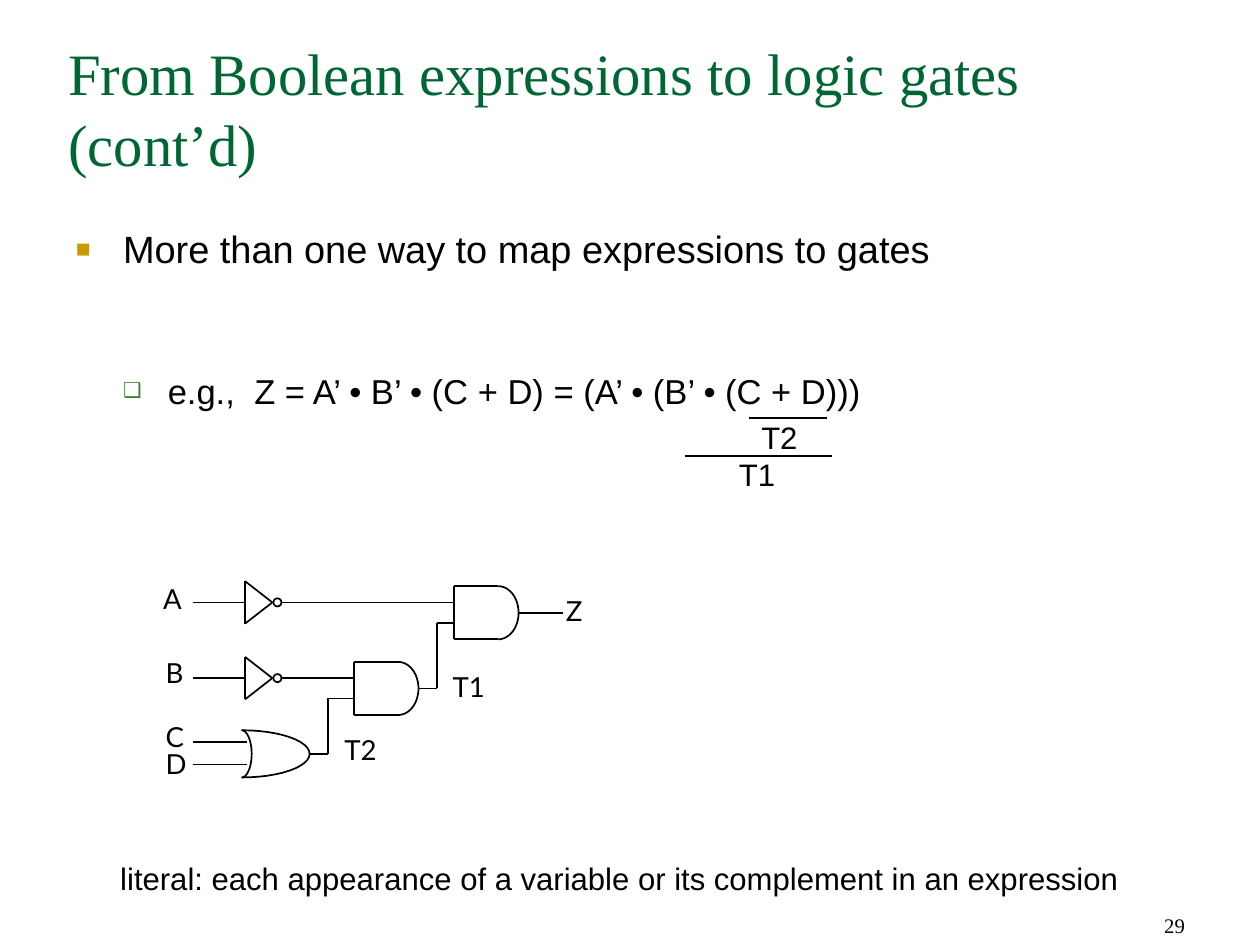
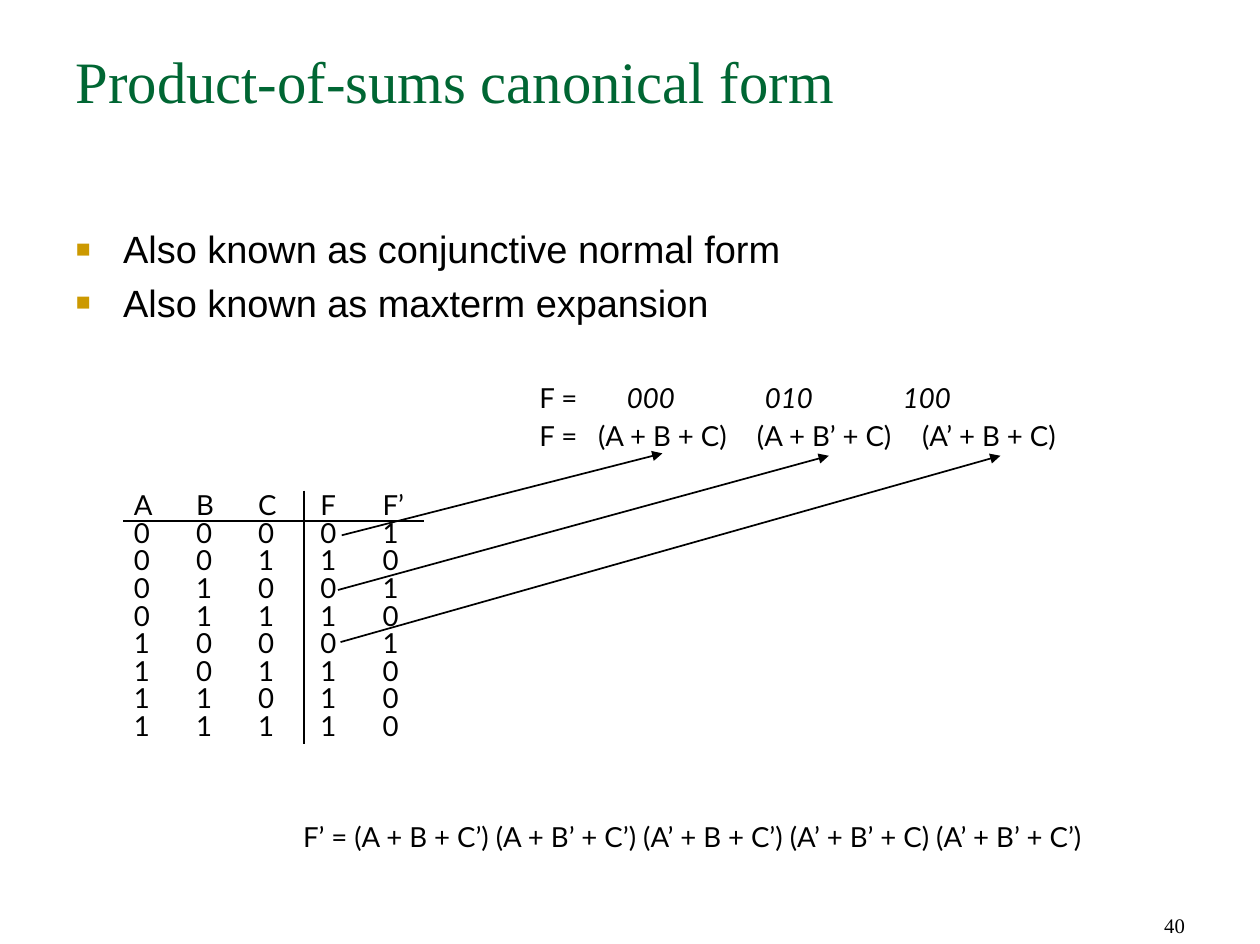
from math import cos, pi, sin

from lxml import etree
from pptx import Presentation
from pptx.dml.color import RGBColor
from pptx.enum.shapes import MSO_CONNECTOR, MSO_SHAPE
from pptx.enum.text import MSO_ANCHOR, MSO_AUTO_SIZE, PP_ALIGN
from pptx.oxml.ns import qn
from pptx.util import Pt

# Shared look
COLORS = {"title": "006633", "text": "000000", "bullet1": "CC9900", "bullet2": "3B812F"}
SERIF, SANS, LABEL = "Times New Roman", "Arial", "Lato"
LEVELS = [  # size, left margin, hanging indent, bullet, bullet colour, bullet percent
    (22, 27.4, 27.4, "■", "bullet1", 65),
    (20, 53.3, 25.9, "❑", "bullet2", 60),
]
BODY_BOX = (36.7, 127.4, 656.6, 361.4)
NUMBER_BOX = (523, 510.5, 170.6, 36.7)
NO_GRID_STYLE = "{2D5ABB26-0587-4C30-8999-92F81FD0307C}"

# Content: body items are (level, space before, pieces of text)
GATES = {
    "title": "From Boolean expressions to logic gates (cont’d)",
    "title_box": (32.4, 18, 669.6, 67),
    "number": "29",
    "body": [
        (0, 0, ["More than one way to map expressions to gates"]),
        (1, 57, ["e.g.,", " ", "Z = A’ • B’ • (C + D) = (A’ • (B’ • (C + D)))"]),
    ],
}
CANONICAL = {
    "title": "Product-of-sums canonical form",
    "title_box": (36.7, 22.3, 656.6, 90.7),
    "number": "40",
    "body": [
        (0, 0, ["Also known as conjunctive normal form"]),
        (0, 4.4, ["Also known as maxterm expansion"]),
    ],
}
LITERAL_NOTE = "literal: each appearance of a variable or its complement in an expression"

# Terms underlined below the expression: text, left, top
TERMS = [("T1", 426.7, 262.4), ("T2", 439.7, 240.7)]
TERM_RULES = [(434.2, 242.4, 479, 242.4), (396.7, 264.4, 481.9, 264.4)]

# Circuit
Y_A, Y_B, Y_C, Y_D = 349.2, 393.1, 430, 443.1
Y_T2, Y_T1, Y_Z = 437, 399.1, 355.2
X_INPUT, X_LEAD, X_NOT, X_BUBBLE, X_OR = 111.6, 132.2, 142, 158.4, 140
X_AND1, X_AND2 = 205, 263
BUBBLE, NOT_HALF = 4.7, 12.3
AND_WIDTH, AND_STRAIGHT, AND_HALF = 37.5, 25.7, 15.4
OR_WIDTH, OR_HALF, OR_BACK = 39.4, 13.7, 5.8
NOT_LEAD, T2_TURN, T2_LEAD, T1_TURN, Z_LEAD = 174, 190, 195, 253, 311
T2_IN, T1_IN = 404.9, 361
CIRCUIT_LABELS = [
    ("A", 93.1, 337.2), ("B", 94.5, 380.4), ("C", 94.5, 417.1), ("D", 94.5, 432.9),
    ("T2", 198.2, 425), ("T1", 260.9, 388.3), ("Z", 326.4, 344.4),
]
WIRES = [  # each wire is a chain of points
    [(X_INPUT, Y_A), (X_LEAD, Y_A), (X_NOT, Y_A)],
    [(X_INPUT, Y_B), (X_LEAD, Y_B), (X_NOT, Y_B)],
    [(X_INPUT, Y_C), (X_LEAD, Y_C), (X_NOT, Y_C), (X_NOT + 1.3, Y_C)],
    [(X_INPUT, Y_D), (X_LEAD, Y_D), (X_NOT, Y_D), (X_NOT + 1.3, Y_D)],
    [(X_BUBBLE + BUBBLE, Y_A), (NOT_LEAD, Y_A), (T1_TURN, Y_A), (X_AND2, Y_A)],
    [(X_BUBBLE + BUBBLE, Y_B), (NOT_LEAD, Y_B), (T2_LEAD, Y_B), (X_AND1, Y_B)],
    [(X_OR + OR_WIDTH, Y_T2), (T2_TURN, Y_T2), (T2_TURN, T2_IN), (T2_LEAD, T2_IN),
     (X_AND1, T2_IN)],
    [(X_AND1 + AND_WIDTH, Y_T1), (T1_TURN, Y_T1), (T1_TURN, T1_IN), (X_AND2, T1_IN)],
    [(X_AND2 + AND_WIDTH, Y_Z), (Z_LEAD, Y_Z), (326.2, Y_Z)],
]

# Truth table and canonical form
TRUTH_HEADER = ["A", "B", "C", "F", "F’"]
F_VALUES = [0, 1, 0, 1, 0, 1, 1, 1]
TRUTH_ROWS = [TRUTH_HEADER] + [
    [n >> 2, n >> 1 & 1, n & 1, f, 1 - f] for n, f in enumerate(F_VALUES)
]
TABLE_LEFT, TABLE_TOP, COLUMN, ROW = 77.6, 286.2, 36, 16
TABLE_RULES = [(71.3, 302, 245.5, 302), (176, 284.4, 176, 431.3)]
CODES, CODE_LEFT, CODE_STEP = ["000", "010", "100"], 361.8, 80
FACTORS = [  # text, left, arrow
    ("(A + B + C)", 345.1, (198, 310.3, 383.8, 262.8)),
    ("(A + B’ + C)", 437.2, (195.8, 342, 480.2, 264.2)),
    ("(A’ + B + C)", 532.8, (197.3, 372.2, 579.6, 264.2)),
]
COMPLEMENT = "F’ = (A + B + C’) (A + B’ + C’) (A’ + B + C’) (A’ + B’ + C) (A’ + B’ + C’)"


def points(*lengths):
    return [Pt(length) for length in lengths]


def place(shape, box):
    shape.left, shape.top, shape.width, shape.height = points(*box)


def style_runs(paragraph, font, size, color="text", italic=False):
    for run in paragraph.runs:
        run.font.name, run.font.size, run.font.italic = font, Pt(size), italic
        run.font.color.rgb = RGBColor.from_string(COLORS[color])


def add_text(slide, text, box, font=LABEL, size=16, line=None, insets=(1.4, 2.2),
             italic=False, align=PP_ALIGN.LEFT, anchor=MSO_ANCHOR.TOP):
    frame = slide.shapes.add_textbox(*points(*box)).text_frame
    frame.word_wrap, frame.vertical_anchor = True, anchor
    frame.margin_left = frame.margin_right = Pt(insets[0])
    frame.margin_top = frame.margin_bottom = Pt(insets[1])
    frame.text = text
    for paragraph in frame.paragraphs:
        paragraph.alignment = align
        if line:
            paragraph.line_spacing = Pt(line)
        style_runs(paragraph, font, size, italic=italic)


def add_line(slide, ends, arrow=False):
    line = slide.shapes.add_connector(MSO_CONNECTOR.STRAIGHT, *points(*ends))
    line.line.color.rgb = RGBColor.from_string(COLORS["text"])
    line.line.width = Pt(1)
    if arrow:
        etree.SubElement(line.line._get_or_add_ln(), qn("a:tailEnd"), type="triangle")
    etree.SubElement(line._element.spPr, qn("a:effectLst"))


def add_chain(slide, corners):
    for start, end in zip(corners, corners[1:]):
        add_line(slide, start + end)


def outline(shape):
    shape.shadow.inherit = False
    shape.fill.background()
    shape.line.color.rgb = RGBColor.from_string(COLORS["text"])
    shape.line.width = Pt(1)


def add_half_ellipse(slide, x, y, radius_x, radius_y, steps=12):
    """Draw the right half of an ellipse as two quarter arcs."""
    for first in (-90, 0):
        angles = [(first + 90 * i / steps) * pi / 180 for i in range(steps + 1)]
        start, *rest = [points(x + radius_x * cos(a), y + radius_y * sin(a)) for a in angles]
        builder = slide.shapes.build_freeform(*start)
        builder.add_line_segments(rest, close=False)
        outline(builder.convert_to_shape())


def add_not(slide, y):
    top, tip, bottom = (X_NOT, y - NOT_HALF), (X_BUBBLE - 0.6, y), (X_NOT, y + NOT_HALF)
    add_chain(slide, [top, tip, bottom, top])
    outline(slide.shapes.add_shape(
        MSO_SHAPE.OVAL, *points(X_BUBBLE, y - BUBBLE / 2, BUBBLE, BUBBLE)))


def add_and(slide, x, y):
    middle, top, bottom = x + AND_STRAIGHT, y - AND_HALF, y + AND_HALF
    add_chain(slide, [(middle, top), (x, top), (x, bottom), (middle, bottom)])
    add_half_ellipse(slide, middle, y, AND_WIDTH - AND_STRAIGHT, AND_HALF)


def add_or(slide, x, y):
    for reach in (OR_BACK, OR_WIDTH):
        add_half_ellipse(slide, x, y, reach, OR_HALF)


def add_bullet(paragraph, level):
    size, margin, hang, mark, color, percent = LEVELS[level]
    properties = paragraph._p.get_or_add_pPr()
    properties.set("marL", str(Pt(margin)))
    properties.set("indent", str(-Pt(hang)))
    bullet_color = etree.SubElement(properties, qn("a:buClr"))
    etree.SubElement(bullet_color, qn("a:srgbClr"), val=COLORS[color])
    etree.SubElement(properties, qn("a:buSzPct"), val=str(percent * 1000))
    etree.SubElement(properties, qn("a:buFont"), typeface=SANS)
    etree.SubElement(properties, qn("a:buChar"), char=mark)


def fill_body(frame, items):
    for index, (level, before, pieces) in enumerate(items):
        paragraph = frame.add_paragraph() if index else frame.paragraphs[0]
        paragraph.level = level
        add_bullet(paragraph, level)
        paragraph.space_before = Pt(before)
        for piece in pieces:
            run = paragraph.add_run()
            run.text = piece
            if piece == " ":  # a widened gap
                run._r.get_or_add_rPr().set("spc", "556")
        style_runs(paragraph, SANS, LEVELS[level][0])


def start_slide(presentation, content):
    slide = presentation.slides.add_slide(presentation.slide_layouts[1])
    title, body = slide.shapes.title, slide.placeholders[1]
    place(title, content["title_box"])
    place(body, BODY_BOX)
    for shape in (title, body):
        shape.text_frame.vertical_anchor = MSO_ANCHOR.TOP
        shape.text_frame.auto_size = MSO_AUTO_SIZE.NONE
    title.text_frame.text = content["title"]
    heading = title.text_frame.paragraphs[0]
    heading.alignment = PP_ALIGN.LEFT
    style_runs(heading, SERIF, 34, "title")
    fill_body(body.text_frame, content["body"])
    add_text(slide, content["number"], NUMBER_BOX, SERIF, 12, insets=(7.2, 3.6),
             align=PP_ALIGN.RIGHT, anchor=MSO_ANCHOR.BOTTOM)
    return slide


def add_truth_table(slide):
    rows, columns = len(TRUTH_ROWS), len(TRUTH_HEADER)
    frame = slide.shapes.add_table(
        rows, columns, *points(TABLE_LEFT, TABLE_TOP, COLUMN * columns, ROW * rows))
    table = frame.table
    table.first_row = table.horz_banding = False
    table._tbl.tblPr.find(qn("a:tableStyleId")).text = NO_GRID_STYLE
    for row, values in zip(table.rows, TRUTH_ROWS):
        row.height = Pt(ROW)
        for cell, value in zip(row.cells, values):
            cell.fill.background()
            cell.margin_left = cell.margin_right = cell.margin_top = cell.margin_bottom = 0
            cell.text_frame.text = str(value)
            paragraph = cell.text_frame.paragraphs[0]
            paragraph.line_spacing = Pt(ROW)
            style_runs(paragraph, LABEL, 16)
    for rule in TABLE_RULES:
        add_line(slide, rule)


def build_gates(presentation):
    slide = start_slide(presentation, GATES)
    # Underlined terms
    for rule in TERM_RULES:
        add_line(slide, rule)
    for text, left, top in TERMS:
        add_text(slide, text, (left, top, 53, 31), SANS, 18, 21)
    # Circuit
    for y in (Y_A, Y_B):
        add_not(slide, y)
    add_and(slide, X_AND1, Y_T1)
    add_and(slide, X_AND2, Y_Z)
    add_or(slide, X_OR, Y_T2)
    for wire in WIRES:
        add_chain(slide, wire)
    for text, left, top in CIRCUIT_LABELS:
        add_text(slide, text, (left, top, 40, 24), line=17)
    add_text(slide, LITERAL_NOTE, (62.6, 494.6, 620, 29), SANS, 18, insets=(7.2, 3.6))


def build_canonical(presentation):
    slide = start_slide(presentation, CANONICAL)
    add_truth_table(slide)
    # Codes of the zero rows above their factors
    add_text(slide, "F =\nF =", (311.2, 216, 45, 50), line=22)
    for index, code in enumerate(CODES):
        add_text(slide, code, (CODE_LEFT + index * CODE_STEP, 216, 50, 27), line=22, italic=True)
    for text, left, arrow in FACTORS:
        add_text(slide, text, (left, 236.4, 110, 30), line=22, insets=(1.4, 3.6))
        add_line(slide, arrow, arrow=True)
    add_text(slide, COMPLEMENT, (174.2, 470.2, 528, 30), line=22)


def main():
    presentation = Presentation()
    presentation.slide_width, presentation.slide_height = points(730, 547.2)
    build_gates(presentation)
    build_canonical(presentation)
    presentation.save("out.pptx")


if __name__ == "__main__":
    main()
